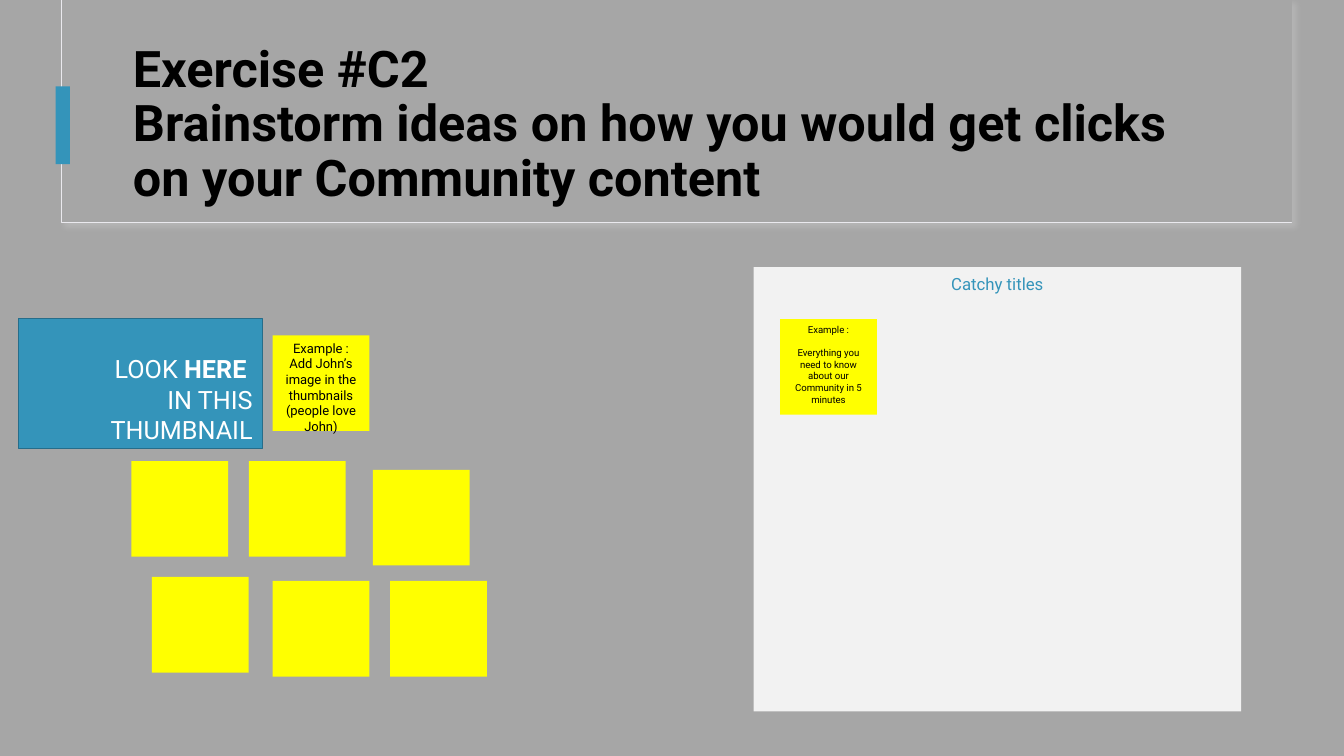
from dataclasses import dataclass

from lxml.etree import SubElement
from pptx import Presentation
from pptx.dml.color import RGBColor
from pptx.enum.shapes import MSO_SHAPE as Preset
from pptx.enum.text import MSO_ANCHOR as Anchor, PP_ALIGN as Align
from pptx.oxml.ns import qn
from pptx.util import Cm, Pt


@dataclass(frozen=True)
class Theme:
    font: str = "Roboto"
    background: str = "A6A6A6"
    frame_line: str = "EAE9EE"
    frame_shadow: str = "D9D9D9"
    accent: str = "3494BA"
    accent_line: str = "266D8A"
    panel: str = "F2F2F2"
    note: str = "FFFF00"
    dark: str = "000000"
    light: str = "FFFFFF"
    title_size: float = 36
    thumbnail_size: float = 18
    panel_size: float = 12
    note_size: float = 9.3
    small_note_size: float = 6.9


THEME = Theme()
NOTE_SIZE = (2.44, 2.41)
EMPTY_NOTES = [
    (3.31, 11.62), (6.27, 11.62), (3.83, 14.54),
    (6.87, 14.64), (9.83, 14.64), (9.4, 11.84),
]


def rgb(color):
    return RGBColor.from_string(color)


def apply(target, formats):
    for name, value in formats.items():
        setattr(target, name, value)


def add_block(slide, box, fill, line=None, line_width=0.75):
    block = slide.shapes.add_shape(Preset.RECTANGLE, *map(Cm, box))
    block.shadow.inherit = False
    block.fill.solid()
    block.fill.fore_color.rgb = rgb(fill)
    if line:
        block.line.color.rgb = rgb(line)
        block.line.width = Pt(line_width)
    else:
        block.line.fill.background()
    return block


def cast_shadow(block, color):
    """Give the block a faint shadow towards its lower right."""
    effects = block.element.spPr.find(qn("a:effectLst"))
    shadow = SubElement(effects, qn("a:outerShdw"), blurRad=str(Pt(4)),
                        dist=str(Pt(3)), dir="2700000", rotWithShape="0")
    tint = SubElement(shadow, qn("a:srgbClr"), val=color)
    SubElement(tint, qn("a:alpha"), val="30000")


def write(block, paragraphs, size, color, frame=None, **paragraph_format):
    """Fill the block with paragraphs, each a list of (text, bold) runs."""
    text_frame = block.text_frame
    apply(text_frame, {"word_wrap": True, "vertical_anchor": Anchor.TOP, **(frame or {})})
    for index, runs in enumerate(paragraphs):
        paragraph = text_frame.paragraphs[0] if index == 0 else text_frame.add_paragraph()
        apply(paragraph, paragraph_format)
        for text, bold in runs:
            run = paragraph.add_run()
            run.text = text
            apply(run.font, {"name": THEME.font, "size": Pt(size), "bold": bold})
            run.font.color.rgb = rgb(color)
    return text_frame


def add_header(slide):
    frame = add_block(slide, (1.55, 0, 31.01, 5.61), THEME.background, THEME.frame_line)
    cast_shadow(frame, THEME.frame_shadow)
    add_block(slide, (1.57, 0, 30.99, 5.59), THEME.background)
    add_block(slide, (1.4, 2.18, 0.36, 1.96), THEME.accent)
    title = slide.shapes.add_textbox(*map(Cm, (3.1, 1.52, 28.24, 3.28)))
    lines = ["Exercise #C2",
             "Brainstorm ideas on how you would get clicks on your Community content"]
    write(title, [[(line, True)] for line in lines], THEME.title_size, THEME.dark,
          {"vertical_anchor": Anchor.MIDDLE}, line_spacing=0.9)


def add_titles_panel(slide):
    panel = add_block(slide, (18.99, 6.73, 12.29, 11.2), THEME.panel)
    write(panel, [[("Catchy titles", False)]], THEME.panel_size, THEME.accent,
          alignment=Align.CENTER, line_spacing=1.1)


def add_thumbnail(slide):
    thumbnail = add_block(slide, (0.47, 8.03, 6.15, 3.28), THEME.accent, THEME.accent_line, 1)
    lines = [[("LOOK ", False), ("HERE ", True)], [("IN THIS", False)], [("THUMBNAIL", False)]]
    write(thumbnail, lines, THEME.thumbnail_size, THEME.light,
          {"vertical_anchor": Anchor.BOTTOM, "margin_bottom": Cm(0.11)},
          alignment=Align.RIGHT)


def add_note(slide, corner, lines=(), size=THEME.note_size, gap=0):
    """Add a sticky note; gap is the space in points above its second line."""
    note = add_block(slide, (*corner, *NOTE_SIZE), THEME.note)
    if lines:
        text_frame = write(note, [[(line, False)] for line in lines], size, THEME.dark,
                           alignment=Align.CENTER)
        text_frame.paragraphs[1].space_before = Pt(gap)


def main():
    deck = Presentation()
    apply(deck, {"slide_width": Cm(33.87), "slide_height": Cm(19.05)})
    slide = deck.slides.add_slide(deck.slide_layouts[6])
    slide.background.fill.solid()
    slide.background.fill.fore_color.rgb = rgb(THEME.background)

    add_header(slide)
    add_titles_panel(slide)
    add_thumbnail(slide)
    add_note(slide, (19.66, 8.04),
             ["Example :", "Everything you need to know about our Community in 5 minutes"],
             THEME.small_note_size, gap=8.2)
    add_note(slide, (6.87, 8.45),
             ["Example :", "Add John’s image in the thumbnails (people love John)"])
    for corner in EMPTY_NOTES:
        add_note(slide, corner)

    deck.save("out.pptx")


if __name__ == "__main__":
    main()
